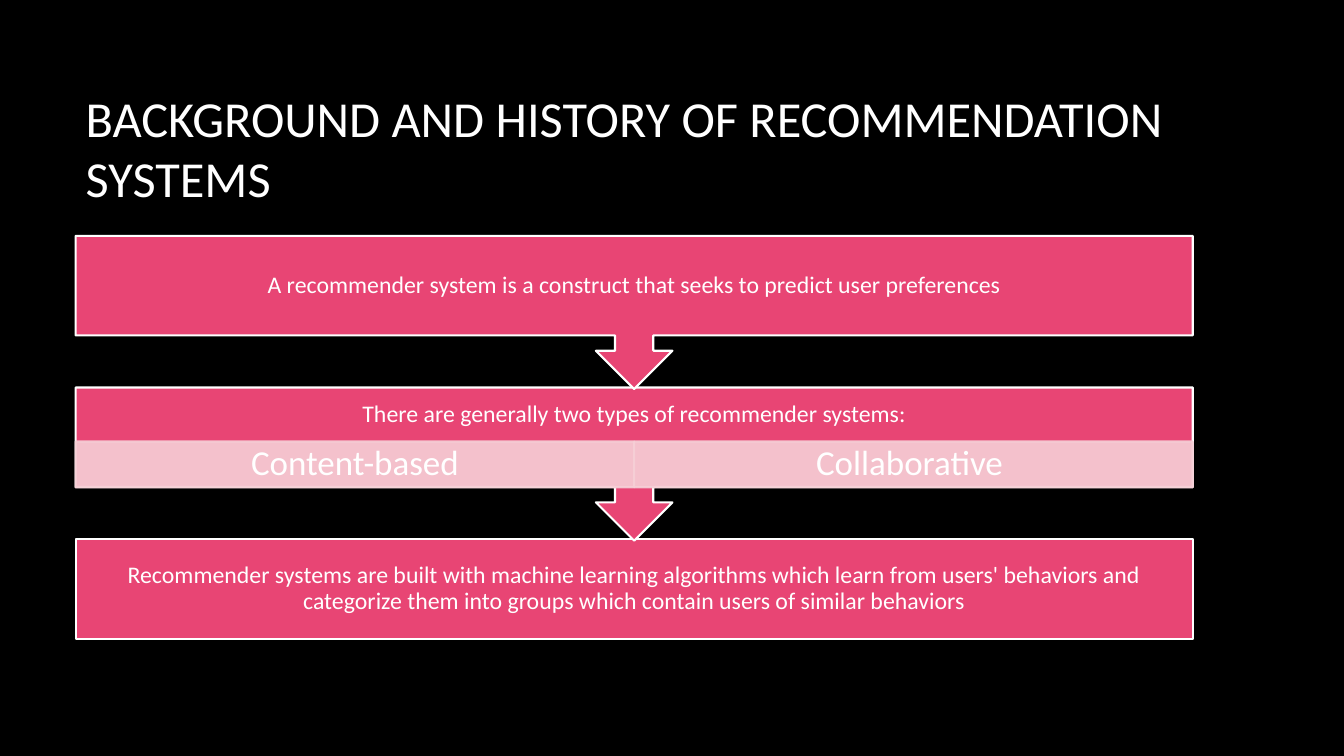
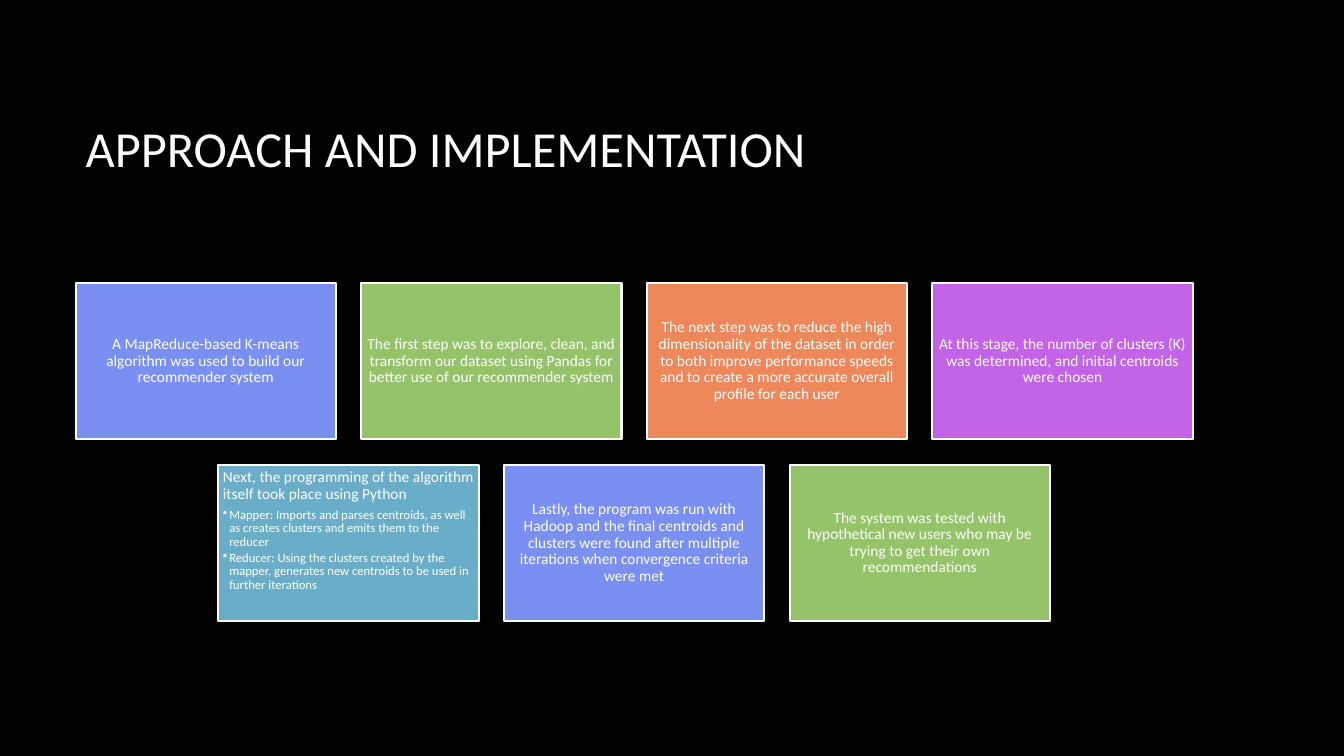
"""Build two dark slides on recommender systems: a flow and a grid of steps."""
from lxml.etree import SubElement as Sub
from pptx import Presentation
from pptx.dml.color import RGBColor as RGB
from pptx.enum.shapes import MSO_SHAPE as Kind
from pptx.enum.text import MSO_ANCHOR as Anchor, MSO_AUTO_SIZE as Fit, PP_ALIGN as Align
from pptx.oxml.ns import qn
from pptx.util import Pt

HUES = {
    "back": "000000", "text": "FFFFFF", "pink": "E84574", "pale": "F6CFD6",
    "blue": "798FF2", "green": "95C369", "orange": "EE875A",
    "purple": "C363E8", "teal": "6AADC8",
}
TONE = {name: RGB.from_string(code) for name, code in HUES.items()}
FACE = "Calibri"
LEFT, WIDE = 54, 798

deck = Presentation()
deck.slide_width, deck.slide_height = Pt(960), Pt(540)
base = deck.slide_layouts[5]
base.background.fill.solid()
base.background.fill.fore_color.rgb = TONE["back"]
head = base.placeholders[0]
head.left, head.top, head.width, head.height = Pt(LEFT), Pt(48), Pt(WIDE), Pt(114.5)


def add_page(title):
    page = deck.slides.add_slide(base)
    frame = page.shapes.title.text_frame
    frame.text = title
    frame.auto_size = Fit.NONE
    frame.vertical_anchor = Anchor.MIDDLE
    para = frame.paragraphs[0]
    para.alignment = Align.LEFT
    para.font.name, para.font.size = FACE, Pt(36)
    para.font.color.rgb = TONE["text"]
    return page


def add_box(page, kind, area, hue, edge, text, size, pads):
    box = page.shapes.add_shape(kind, *map(Pt, area))
    box.shadow.inherit = False
    box.fill.solid()
    box.fill.fore_color.rgb = TONE[hue]
    box.line.color.rgb = TONE[edge]
    box.line.width = Pt(1.5)
    frame = box.text_frame
    frame.word_wrap = True
    frame.vertical_anchor = Anchor.MIDDLE
    frame.margin_left = frame.margin_right = Pt(pads[0])
    frame.margin_top, frame.margin_bottom = Pt(pads[1]), Pt(pads[2])
    frame.text = text
    for para in frame.paragraphs:
        para.alignment = Align.CENTER
        para.line_spacing = 0.9
        para.font.name, para.font.size = FACE, Pt(size)
        para.font.color.rgb = TONE["text"]
    return box


flow = add_page("BACKGROUND AND HISTORY OF RECOMMENDATION SYSTEMS")
TOP, STEP, BAND, CALL = 168.5, 108.3, 71.3, 109.4
CHIP = 32.7
PAD = 9.4
stages = [
    (Kind.DOWN_ARROW_CALLOUT, CALL, PAD,
     "A recommender system is a construct\u00a0that seeks to predict user preferences"),
    (Kind.DOWN_ARROW_CALLOUT, CALL, PAD + CHIP,
     "There are generally two types of recommender systems:"),
    (Kind.RECTANGLE, BAND, PAD,
     "Recommender systems are built with machine learning algorithms which\u00a0learn from "
     "users' behaviors and categorize them into groups which contain users of similar behaviors"),
]
for row, (kind, tall, foot, text) in reversed(list(enumerate(stages))):
    add_box(flow, kind, (LEFT, TOP + row * STEP, WIDE, tall),
            "pink", "text", text, 17, (PAD, PAD, foot))

half = WIDE / 2
for col, text in enumerate(["Content-based", "Collaborative\u00a0"]):
    area = (LEFT + col * half, TOP + STEP + BAND - CHIP, half, CHIP)
    chip = add_box(flow, Kind.RECTANGLE, area, "pale", "pale", text, 25, (13.7, 2.3, 2.3))
    for tint in chip.element.spPr.iter(qn("a:srgbClr")):
        Sub(tint, qn("a:alpha"), val="90000")

plan = add_page("APPROACH AND IMPLEMENTATION")
CARD, TALL, GAP = 186, 111.5, 18
rows = [
    [("blue", "A MapReduce-based K-means algorithm was used to\u00a0build our recommender system"),
     ("green", "The first step was to explore, clean, and transform our dataset using Pandas "
               "for better use of our recommender system"),
     ("orange", "The next step was to reduce the high dimensionality of the dataset in order "
                "to both improve performance speeds and to create a more accurate overall "
                "profile for each user"),
     ("purple", "At this stage, the number of clusters (K) was determined, and initial "
                "centroids were chosen")],
    [("teal", "Next, the programming of the algorithm itself took place using Python\n"
              "Mapper: Imports and parses centroids, as well as creates clusters and emits "
              "them to the reducer\n"
              "Reducer: Using the clusters created by the mapper, generates new centroids "
              "to be used in further iterations"),
     ("blue", "Lastly, the program was run with Hadoop and the final centroids and clusters "
              "were found after multiple iterations when convergence criteria were met"),
     ("green", "The system was tested with hypothetical new users who may be trying to get "
               "their own recommendations")],
]
cards = {}
for row, steps in enumerate(rows):
    span = len(steps) * CARD + (len(steps) - 1) * GAP
    start = LEFT + (WIDE - span) / 2
    for col, (hue, text) in enumerate(steps):
        area = (start + col * (CARD + GAP), 202.2 + row * (TALL + GAP + 0.4), CARD, TALL)
        cards[row, col] = add_box(plan, Kind.RECTANGLE, area, hue, "text", text,
                                  11, (3.3, 3.3, 3.3))

code = cards[1, 0].text_frame
code.vertical_anchor = Anchor.TOP
for para in code.paragraphs:
    para.alignment = Align.LEFT
    para.space_after = Pt(3.9)
for para in code.paragraphs[1:]:
    para.level = 1
    para.font.size = Pt(9)
    para.space_after = Pt(1.4)
    props = para._p.get_or_add_pPr()
    props.set("marL", str(Pt(4.5)))
    props.set("indent", str(-Pt(4.5)))
    Sub(props, qn("a:buChar"), char="•")
    props.append(props.find(qn("a:defRPr")))

deck.save("out.pptx")
